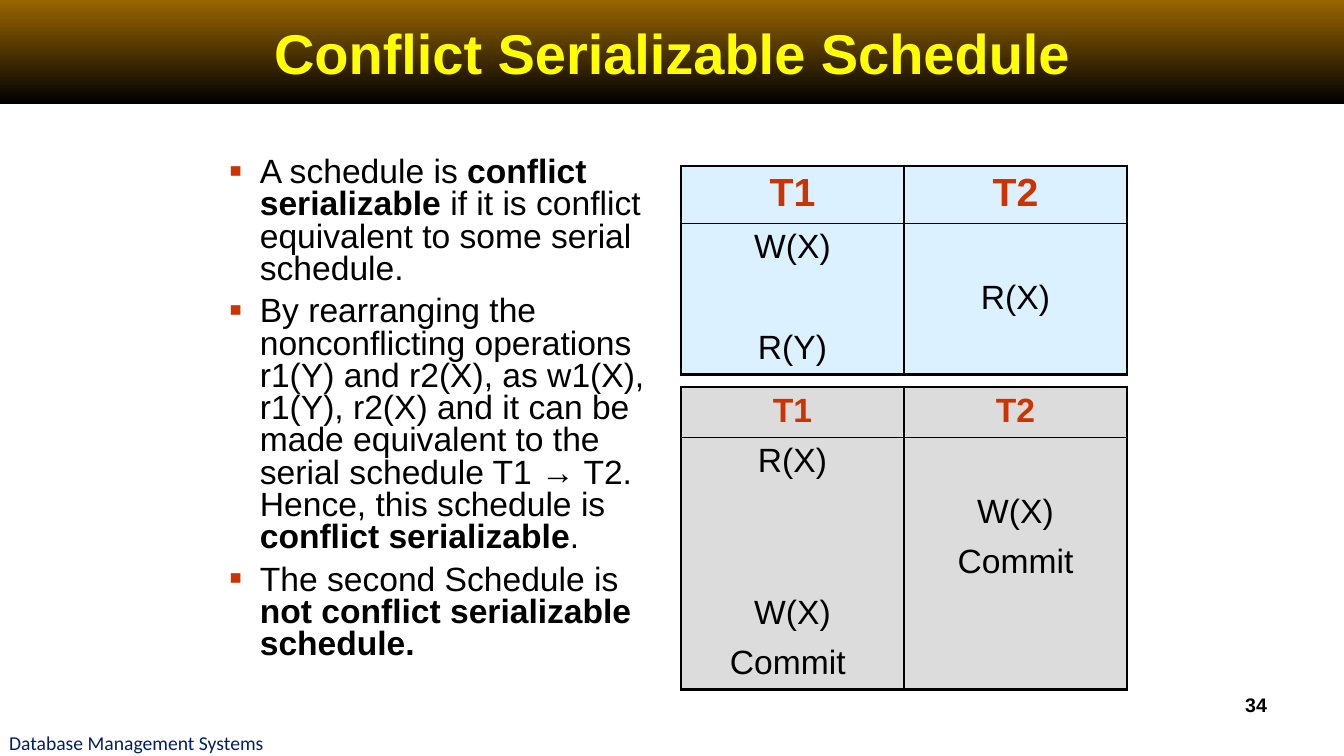
from pptx import Presentation
from pptx.util import Pt
from pptx.dml.color import RGBColor as Rgb
from pptx.enum.shapes import MSO_SHAPE as Shape
from pptx.enum.text import MSO_ANCHOR as Anchor, PP_ALIGN as Align
from pptx.oxml.ns import qn
from lxml.etree import SubElement as Sub

HUES = {"brown": "996600", "black": "000000", "yellow": "FFFF00", "red": "CC3300",
        "navy": "002060", "blue": "DBF1FF", "gray": "DCDCDC"}
TITLE = "Conflict Serializable Schedule"
FOOT = "Database Management Systems"
PAGE = "34"
POINTS = [
    [("A schedule is ", False), ("conflict serializable", True),
     (" if it is conflict equivalent to some serial schedule.", False)],
    [("By rearranging the nonconflicting operations r1(Y) and r2(X), as w1(X), r1(Y), r2(X) "
      "and it can be made equivalent to the serial schedule T1 → T2. Hence, this schedule is ", False),
     ("conflict serializable", True), (".", False)],
    [("The second Schedule is ", False), ("not conflict serializable schedule.", True)],
]
TABLES = [
    {"top": 166, "head": 57, "size": 28, "fill": "blue",
     "rows": [("T1", "T2"), ("W(X)", ""), ("", "R(X)"), ("R(Y)", "")]},
    {"top": 387, "head": 50, "size": 24, "fill": "gray",
     "rows": [("T1", "T2"), ("R(X)", ""), ("", "W(X)"), ("", "Commit"),
              ("W(X)", ""), ("Commit ", "")]},
]
LEFT, COL, ROW = 681, 223, 50
THICK, THIN = 2.25, 1


def px(n):
    return round(n * 914400 / 100.8)


def hue(name):
    return Rgb.from_string(HUES[name])


def style(run, size, color, bold=False, face="Arial"):
    font = run.font
    font.size, font.bold, font.name = Pt(size), bold, face
    font.color.rgb = hue(color)


def label(box, text, align, *look):
    para = box.text_frame.paragraphs[0]
    para.text = text
    para.alignment = align
    for run in para.runs:
        style(run, *look)
    return para


def text_box(*area):
    box = slide.shapes.add_textbox(*map(px, area))
    box.text_frame.word_wrap = True
    return box


def bullet(para):
    props = para._p.get_or_add_pPr()
    props.set("marL", str(px(31)))
    props.set("indent", str(px(-31)))
    tint = Sub(props, qn("a:buClr"))
    Sub(tint, qn("a:srgbClr"), val=HUES["red"])
    Sub(props, qn("a:buSzPct"), val="115000")
    Sub(props, qn("a:buFont"), typeface="Arial")
    Sub(props, qn("a:buChar"), char="▪")


def border(cell, widths):
    props = cell._tc.get_or_add_tcPr()
    for spot, (side, width) in enumerate(widths.items()):
        line = props.makeelement(qn("a:ln" + side), {"w": str(Pt(width))})
        props.insert(spot, line)
        if width:
            paint = Sub(line, qn("a:solidFill"))
            Sub(paint, qn("a:srgbClr"), val=HUES["black"])
        else:
            Sub(line, qn("a:noFill"))


def schedule(top, head, size, fill, rows):
    last = len(rows) - 1
    frame = slide.shapes.add_table(len(rows), 2, px(LEFT), px(top), px(2 * COL),
                                   px(head + ROW * last))
    grid = frame.table
    for col in grid.columns:
        col.width = px(COL)
    for r, row in enumerate(rows):
        grid.rows[r].height = px(ROW if r else head)
        look = (24, "black") if r else (size, "red", True)
        for c, text in enumerate(row):
            cell = grid.cell(r, c)
            para = label(cell, text, Align.CENTER, *look)
            para.space_before = Pt(look[0] * 0.2)
            cell.fill.solid()
            cell.fill.fore_color.rgb = hue(fill)
            border(cell, {"L": THIN if c else THICK,
                          "R": THICK if c else THIN,
                          "T": {0: THICK, 1: THIN}.get(r, 0),
                          "B": {0: THIN, last: THICK}.get(r, 0)})


deck = Presentation()
deck.slide_width, deck.slide_height = px(1344), px(756)
slide = deck.slides.add_slide(deck.slide_layouts[6])

foot = text_box(9, 729, 500, 27)
frame = foot.text_frame
frame.margin_left = frame.margin_right = frame.margin_top = frame.margin_bottom = 0
frame.vertical_anchor = Anchor.MIDDLE
label(foot, FOOT, Align.LEFT, 14, "navy", False, "Calibri")

label(text_box(964, 688, 313, 52), PAGE, Align.RIGHT, 14, "black", True)

band = slide.shapes.add_shape(Shape.RECTANGLE, 0, 0, px(1344), px(104))
band.shadow.inherit = False
band.line.fill.background()
band.fill.gradient()
band.fill.gradient_angle = 270
for stop, name, place in zip(band.fill.gradient_stops, ("brown", "black"), (0, 1)):
    stop.color.rgb = hue(name)
    stop.position = place
band.text_frame.vertical_anchor = Anchor.MIDDLE
label(band, TITLE, Align.CENTER, 40, "yellow", True)

body = text_box(219, 153, 446, 546).text_frame
for i, parts in enumerate(POINTS):
    para = body.add_paragraph() if i else body.paragraphs[0]
    para.line_spacing = 0.8
    para.space_before = Pt(7.2)
    bullet(para)
    for text, bold in parts:
        run = para.add_run()
        run.text = text
        style(run, 24, "black", bold)

for table in TABLES:
    schedule(**table)

deck.save("out.pptx")
